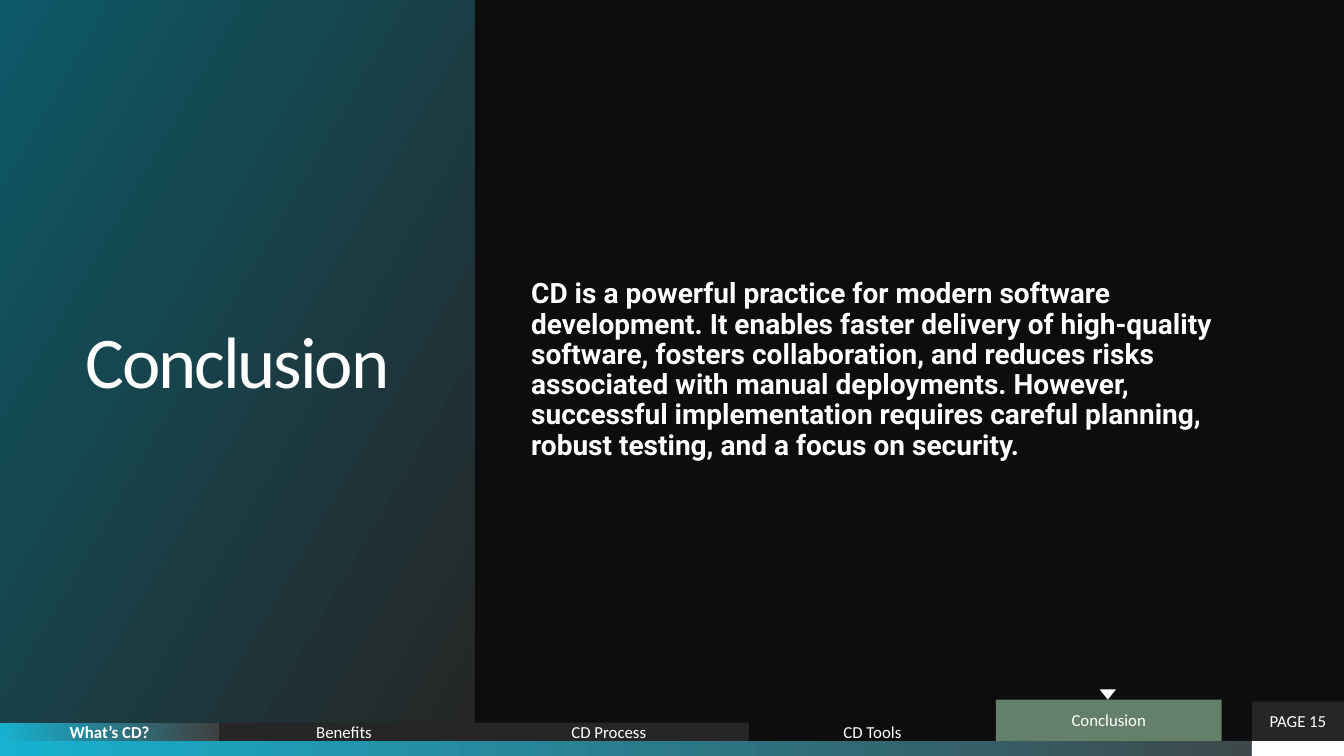
import pptx
import pptx.util
import pptx.dml.color
import pptx.enum.shapes
import pptx.enum.text

SHAPES = pptx.enum.shapes.MSO_SHAPE
ALIGN = pptx.enum.text.PP_ALIGN
THEME = {
    "page": "0D0D0D", "panel": "262626", "grey": "404040", "white": "FFFFFF",
    "cyan": "17B2D1", "teal": "0C5968", "active": "65806A",
    "font": "Calibri", "body font": "Roboto",
    "title size": 52, "body size": 20, "label size": 12,
}

# Grid: one column and one row are a tenth of an inch
CELL = pptx.util.Inches(0.1)
COLUMNS, ROWS = 133.33, 75
BAR_TOP = 73.5
PAGE_LEFT = 124.2


def add_block(left, top, width, height, colors, kind=SHAPES.RECTANGLE, angle=0, first_stop=0):
    """Add a borderless shape; two colors make a gradient."""
    box = [round(CELL * cells) for cells in (left, top, width, height)]
    shape = slide.shapes.add_shape(kind, *box)
    shape.shadow.inherit = False
    shape.line.fill.background()
    if len(colors) == 1:
        shape.fill.solid()
        shape.fill.fore_color.rgb = pptx.dml.color.RGBColor.from_string(THEME[colors[0]])
    else:
        shape.fill.gradient()
        shape.fill.gradient_angle = angle
        for stop, color, position in zip(shape.fill.gradient_stops, colors, (first_stop, 1)):
            stop.color.rgb = pptx.dml.color.RGBColor.from_string(THEME[color])
            stop.position = position
    return shape


def write(shape, text, size="label size", font="font", bold=False, align=ALIGN.CENTER,
          spacing=1.0, insets=(1, 0.5)):
    """Write one white, vertically centred paragraph into a shape."""
    frame = shape.text_frame
    side, end = (round(CELL * cells) for cells in insets)
    frame_format = {
        "word_wrap": True, "vertical_anchor": pptx.enum.text.MSO_ANCHOR.MIDDLE,
        "margin_left": side, "margin_right": side, "margin_top": end, "margin_bottom": end,
    }
    for name, value in frame_format.items():
        setattr(frame, name, value)
    paragraph = frame.paragraphs[0]
    paragraph.alignment = align
    paragraph.line_spacing = spacing
    run = paragraph.add_run()
    run.text = text
    font_format = {"name": THEME[font], "size": pptx.util.Pt(THEME[size]), "bold": bold}
    for name, value in font_format.items():
        setattr(run.font, name, value)
    run.font.color.rgb = pptx.dml.color.RGBColor.from_string(THEME["white"])
    return run


# Slide and background
presentation = pptx.Presentation()
presentation.slide_width = round(CELL * COLUMNS)
presentation.slide_height = CELL * ROWS
slide = presentation.slides.add_slide(presentation.slide_layouts[6])
slide.background.fill.solid()
slide.background.fill.fore_color.rgb = pptx.dml.color.RGBColor.from_string(THEME["page"])

# Bottom bar
add_block(0, BAR_TOP, COLUMNS, ROWS - BAR_TOP, ["cyan", "grey"])
add_block(PAGE_LEFT, BAR_TOP, COLUMNS - PAGE_LEFT, ROWS - BAR_TOP, ["white"])

# Title panel
title = add_block(0, 0, 47.1, BAR_TOP, ["panel", "teal"], angle=150, first_stop=0.01)
title_run = write(title, "Conclusion", size="title size", spacing=0.7, insets=(4.3, 0))
title_run.font._element.set("spc", "-150")

# Body text
body = slide.shapes.add_textbox(*[round(CELL * cells) for cells in (51.5, 4, 72.7, 65.5)])
write(
    body,
    "CD is a powerful practice for modern software development. It enables faster delivery "
    "of high-quality software, fosters collaboration, and reduces risks associated with "
    "manual deployments. However, successful implementation requires careful planning, "
    "robust testing, and a focus on security.",
    size="body size", font="body font", bold=True, align=ALIGN.LEFT,
    spacing=0.9, insets=(1.2, 1.2),
)

# Navigation tabs and page number, all standing on the bottom bar
tabs = [
    ("What’s CD?", 0, 21.75, 1.8, ["cyan", "grey"], True),
    ("Benefits", 21.75, 46.5, 1.8, ["panel"], False),
    ("CD Process", 46.5, 74.3, 1.8, ["panel"], False),
    ("CD Tools", 74.3, 98.8, 1.8, ["page"], False),
    ("Conclusion", 98.8, 121.2, 4.1, ["active"], False),
    ("PAGE 15", PAGE_LEFT, COLUMNS, 3.9, ["panel"], False),
]
for label, left, right, height, colors, bold in tabs:
    tab = add_block(left, BAR_TOP - height, right - left, height, colors)
    write(tab, label, bold=bold)

# Marker above the active tab
marker = add_block(109.1, 68.4, 1.6, 1, ["white"], kind=SHAPES.ISOSCELES_TRIANGLE)
marker.rotation = 180

presentation.save("out.pptx")
